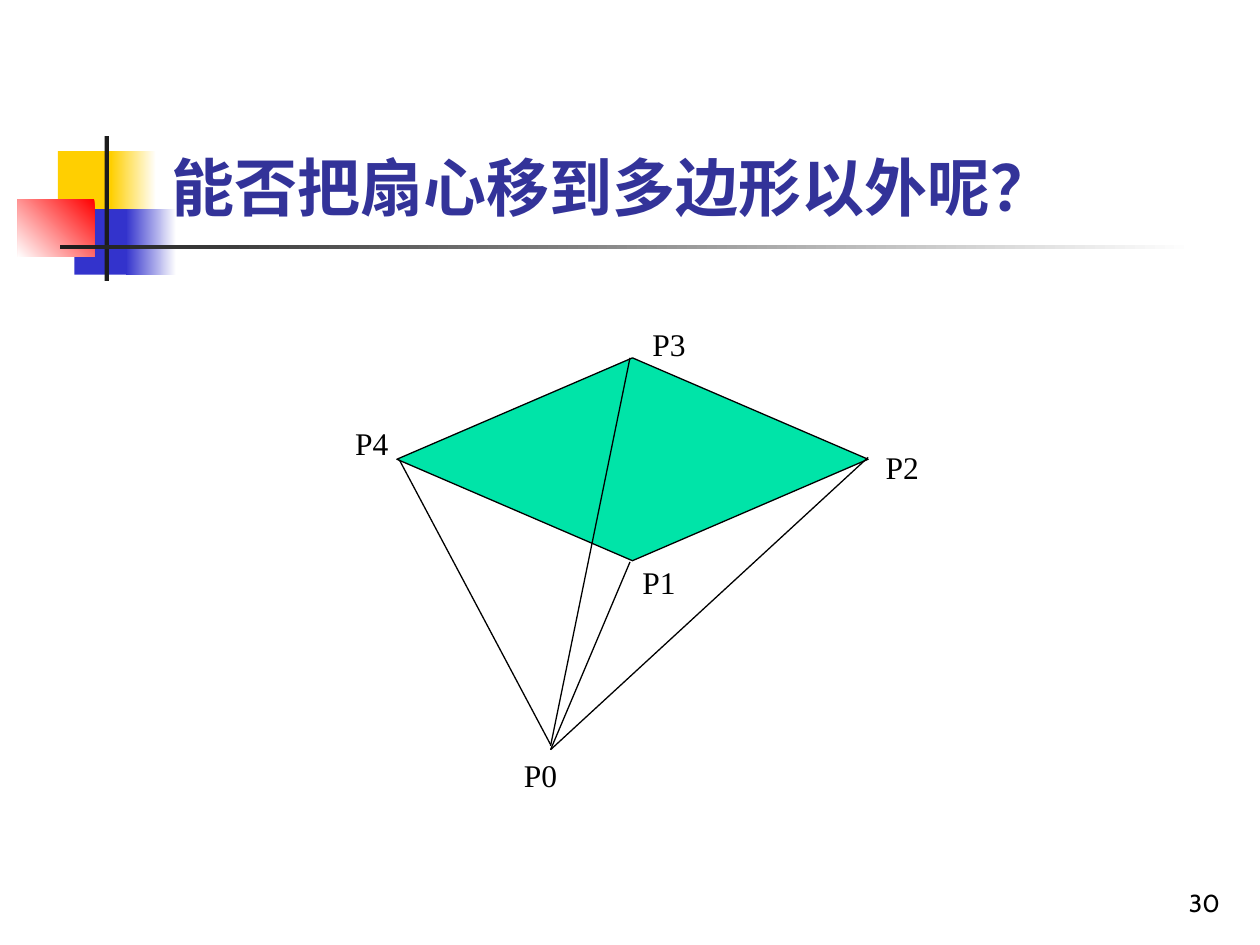
from lxml.etree import SubElement
from pptx import Presentation
from pptx.dml.color import RGBColor
from pptx.enum.shapes import MSO_CONNECTOR as CONN, MSO_SHAPE as SHAPE
from pptx.enum.text import MSO_ANCHOR as ANCHOR, PP_ALIGN as ALIGN
from pptx.oxml.ns import qn
from pptx.util import Inches, Pt

BLACK = RGBColor(0x00, 0x00, 0x00)
WHITE = RGBColor(0xFF, 0xFF, 0xFF)
CHARCOAL = RGBColor(0x1C, 0x1C, 0x1C)
YELLOW = RGBColor(0xFF, 0xCF, 0x01)
BLUE = RGBColor(0x33, 0x33, 0xCC)
RED = RGBColor(0xFF, 0x00, 0x00)
NAVY = RGBColor(0x33, 0x33, 0x99)
GREEN = RGBColor(0x00, 0xE4, 0xA8)

prs = Presentation()
prs.slide_width, prs.slide_height = Inches(10), Inches(7.5)
s = prs.slides.add_slide(prs.slide_layouts[6])

# The slide is a grid of 100 columns by 75 rows of square cells.
CELL = prs.slide_width / 100


def grid(*cells):
    """Turn grid columns and rows into slide lengths."""
    return [round(c * CELL) for c in cells]


def add_text(text, x, y, w, h, font="Times New Roman", size=18, color=BLACK,
             bold=False, align=ALIGN.LEFT, anchor=ANCHOR.TOP):
    tf = s.shapes.add_textbox(*grid(x, y, w, h)).text_frame
    tf.word_wrap = True
    tf.vertical_anchor = anchor
    p = tf.paragraphs[0]
    p.alignment = align
    r = p.add_run()
    r.text = text
    r.font.name, r.font.size, r.font.bold = font, Pt(size), bold
    r.font.color.rgb = color


# Corner ornament: x, y, width, height, colours, counter-clockwise angle
ornament = [
    (4.6, 12, 4.8, 5.2, [YELLOW], None),
    (8.8, 12, 3.6, 5.2, [WHITE, YELLOW], 180),
    (5.9, 16.6, 4.6, 5.2, [BLUE], None),
    (10, 16.6, 4, 5.2, [WHITE, BLUE], 180),
    (1.4, 15.8, 6.1, 4.6, [RED, WHITE], 225),
    (8.3, 10.8, 0.35, 11.5, [CHARCOAL], None),
    (4.8, 19.45, 90, 0.35, [WHITE, CHARCOAL], 180),
]
for x, y, w, h, colors, angle in ornament:
    sp = s.shapes.add_shape(SHAPE.RECTANGLE, *grid(x, y, w, h))
    sp.shadow.inherit = False
    sp.line.fill.background()
    if angle is None:
        sp.fill.solid()
        sp.fill.fore_color.rgb = colors[0]
    else:
        sp.fill.gradient()
        sp.fill.gradient_angle = angle
        for stop, color in zip(sp.fill.gradient_stops, colors):
            stop.color.rgb = color

add_text("能否把扇心移到多边形以外呢？", 12.6, 10.7, 81.1, 7.6, font="Cabin",
         size=36, color=NAVY, bold=True, anchor=ANCHOR.BOTTOM)

# Polygon P1 to P4
polygon = s.shapes.add_shape(SHAPE.DIAMOND, *grid(31.5, 28.4, 37.4, 16.1))
polygon.shadow.inherit = False
polygon.fill.solid()
polygon.fill.fore_color.rgb = GREEN
polygon.line.color.rgb = BLACK
polygon.line.width = Pt(0.75)

# Fan lines from P0 to the vertices P2, P1, P3 and P4
fan_lines = [
    (43.7, 59.5, 68.9, 36.3),
    (43.7, 59.5, 50, 44.6),
    (43.7, 59.2, 50, 28.4),
    (31.7, 36.5, 43.7, 59.1),
]
for ends in fan_lines:
    ray = s.shapes.add_connector(CONN.STRAIGHT, *grid(*ends))
    ray.line.color.rgb = BLACK
    ray.line.width = Pt(0.75)
    SubElement(ray._element.spPr, qn("a:effectLst"))

label_places = [(40.6, 59.5), (50, 44.2), (69.3, 35.1), (50.8, 25.3), (27.2, 33.2)]
for i, (x, y) in enumerate(label_places):
    add_text(f"P{i}", x, y, 5.9, 4)

add_text("30", 77, 68.3, 20.8, 5, font="Cabin", size=14,
         align=ALIGN.RIGHT, anchor=ANCHOR.BOTTOM)

prs.save("out.pptx")
